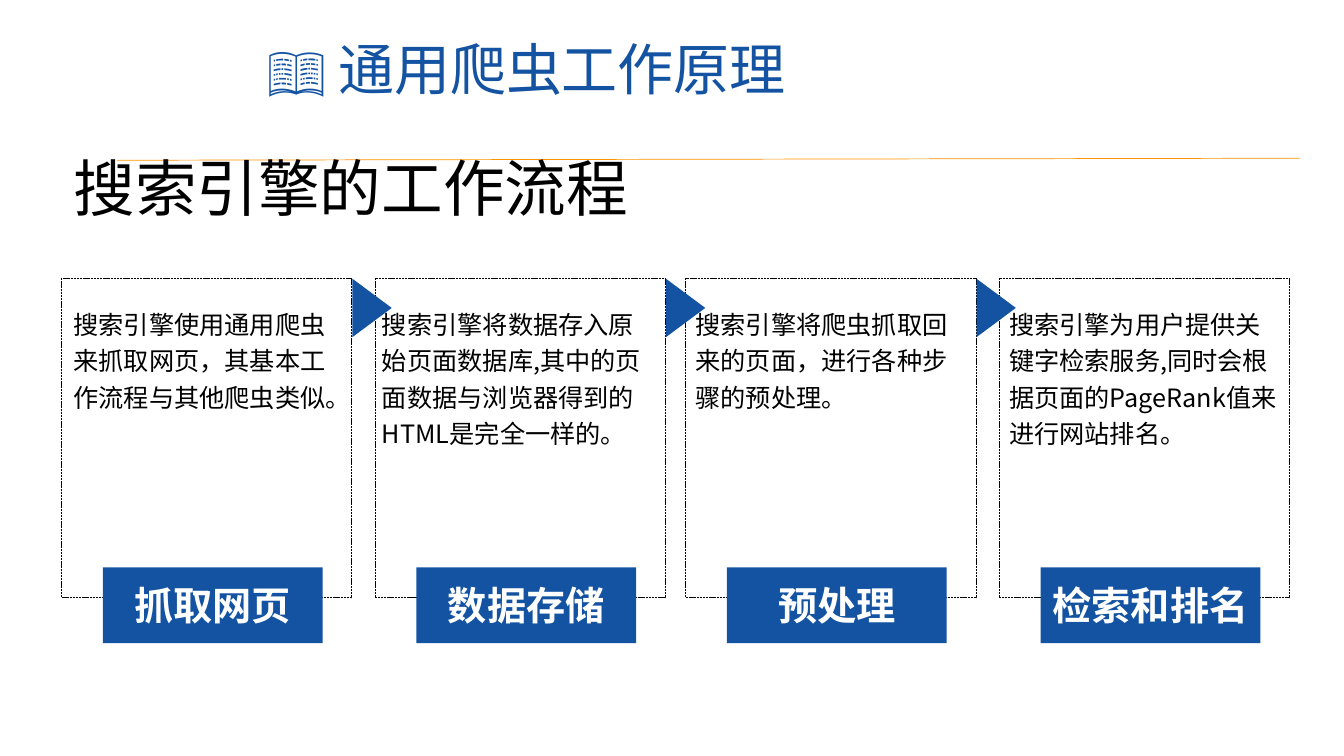
"""Build the slide on how a search engine works, as four linked step cards."""
import dataclasses
import typing

import lxml.etree
import pptx
import pptx.dml.color
import pptx.enum.dml
import pptx.enum.shapes
import pptx.enum.text
import pptx.oxml.ns
import pptx.util

PX = 9144
SHAPE = pptx.enum.shapes.MSO_SHAPE
ALIGN = pptx.enum.text.PP_ALIGN
ANCHOR = pptx.enum.text.MSO_ANCHOR


@dataclasses.dataclass(frozen=True)
class Theme:
    font: str = "Noto Sans CJK SC"
    blue: str = "1353A2"
    orange: str = "FF9300"
    black: str = "000000"
    white: str = "FFFFFF"
    title: int = 40
    heading: int = 44
    label: int = 28
    body: int = 18
    line: float = 0.5


@dataclasses.dataclass(frozen=True)
class Step:
    x: int
    text_x: int
    text_w: int
    label: str
    text: str


THEME = Theme()
STEPS = [
    Step(61, 63, 286, "抓取网页", "搜索引擎使用通用爬虫来抓取网页，其基本工作流程与其他爬虫类似。"),
    Step(372, 369, 291, "数据存储", "搜索引擎将数据存入原始页面数据库,其中的页面数据与浏览器得到的HTML是完全一样的。"),
    Step(680, 680, 288, "预处理", "搜索引擎将爬虫抓取回来的页面，进行各种步骤的预处理。"),
    Step(991, 991, 289, "检索和排名", "搜索引擎为用户提供关键字检索服务,同时会根据页面的PageRank值来进行网站排名。"),
]
CARD_Y, CARD_W, CARD_H = 276, 288, 317
LABEL_DX, LABEL_Y, LABEL_W, LABEL_H = 41, 563, 218, 75
ARROW_DX, ARROW_Y, ARROW_W, ARROW_H = 9, 286, 58, 39


def px(*values: int) -> list[pptx.util.Emu]:
    return [pptx.util.Emu(v * PX) for v in values]


def rgb(color: str) -> pptx.dml.color.RGBColor:
    return pptx.dml.color.RGBColor.from_string(color)


def set_attrs(obj: typing.Any, values: dict[str, typing.Any]) -> None:
    for name, value in values.items():
        setattr(obj, name, value)


def write(sp: typing.Any, text: str, size: int, color: str, bold: bool = False,
          align: ALIGN = ALIGN.LEFT, anchor: ANCHOR = ANCHOR.TOP, spacing: float = 1.0) -> None:
    tf = sp.text_frame
    set_attrs(tf, {"word_wrap": True, "vertical_anchor": anchor,
                   "auto_size": pptx.enum.text.MSO_AUTO_SIZE.NONE})
    p = tf.paragraphs[0]
    set_attrs(p, {"alignment": align, "line_spacing": spacing, "space_before": pptx.util.Pt(0)})
    r = p.add_run()
    r.text = text
    set_attrs(r.font, {"name": THEME.font, "size": pptx.util.Pt(size), "bold": bold})
    r.font.color.rgb = rgb(color)
    ea = lxml.etree.SubElement(r.font._element, pptx.oxml.ns.qn("a:ea"))
    ea.set("typeface", THEME.font)


def add_text(s: typing.Any, box: tuple[int, int, int, int], text: str, size: int,
             spacing: float = 1.0) -> None:
    write(s.shapes.add_textbox(*px(*box)), text, size, THEME.black, spacing=spacing)


def add_filled(s: typing.Any, kind: SHAPE, box: tuple[int, int, int, int]) -> typing.Any:
    sp = s.shapes.add_shape(kind, *px(*box))
    sp.shadow.inherit = False
    sp.fill.solid()
    sp.fill.fore_color.rgb = rgb(THEME.blue)
    sp.line.fill.background()
    return sp


def add_frame(s: typing.Any, box: tuple[int, int, int, int]) -> None:
    sp = s.shapes.add_shape(SHAPE.RECTANGLE, *px(*box))
    sp.shadow.inherit = False
    sp.fill.background()
    sp.line.color.rgb = rgb(THEME.black)
    set_attrs(sp.line, {"width": pptx.util.Pt(THEME.line),
                        "dash_style": pptx.enum.dml.MSO_LINE.SQUARE_DOT})


def add_rule(s: typing.Any, ends: tuple[int, int, int, int]) -> None:
    cxn = s.shapes.add_connector(pptx.enum.shapes.MSO_CONNECTOR.STRAIGHT, *px(*ends))
    cxn.line.color.rgb = rgb(THEME.orange)
    cxn.line.width = pptx.util.Pt(THEME.line)
    lxml.etree.SubElement(cxn._element.spPr, pptx.oxml.ns.qn("a:effectLst"))


def add_step(s: typing.Any, step: Step) -> None:
    add_frame(s, (step.x, CARD_Y, CARD_W, CARD_H))
    label = add_filled(s, SHAPE.RECTANGLE, (step.x + LABEL_DX, LABEL_Y, LABEL_W, LABEL_H))
    write(label, step.label, THEME.label, THEME.white, True, ALIGN.CENTER, ANCHOR.MIDDLE)
    add_text(s, (step.text_x, 296, step.text_w, 252), step.text, THEME.body, 1.2)


def add_arrow(s: typing.Any, step: Step) -> None:
    box = (step.x + CARD_W - ARROW_DX, ARROW_Y, ARROW_W, ARROW_H)
    add_filled(s, SHAPE.FLOWCHART_EXTRACT, box).rotation = 90


def main() -> None:
    prs = pptx.Presentation()
    prs.slide_width, prs.slide_height = px(1333, 750)
    s = prs.slides.add_slide(prs.slide_layouts[5])
    title = s.shapes.title
    set_attrs(title, dict(zip(("left", "top", "width", "height"), px(255, 29, 563, 77))))
    write(title, "📖 通用爬虫工作原理", THEME.title, THEME.blue)
    add_rule(s, (116, 159, 1289, 157))
    add_text(s, (63, 144, 597, 84), "搜索引擎的工作流程", THEME.heading)
    for step in STEPS:
        add_step(s, step)
    for step in STEPS[:-1]:
        add_arrow(s, step)
    prs.save("out.pptx")


if __name__ == "__main__":
    main()
